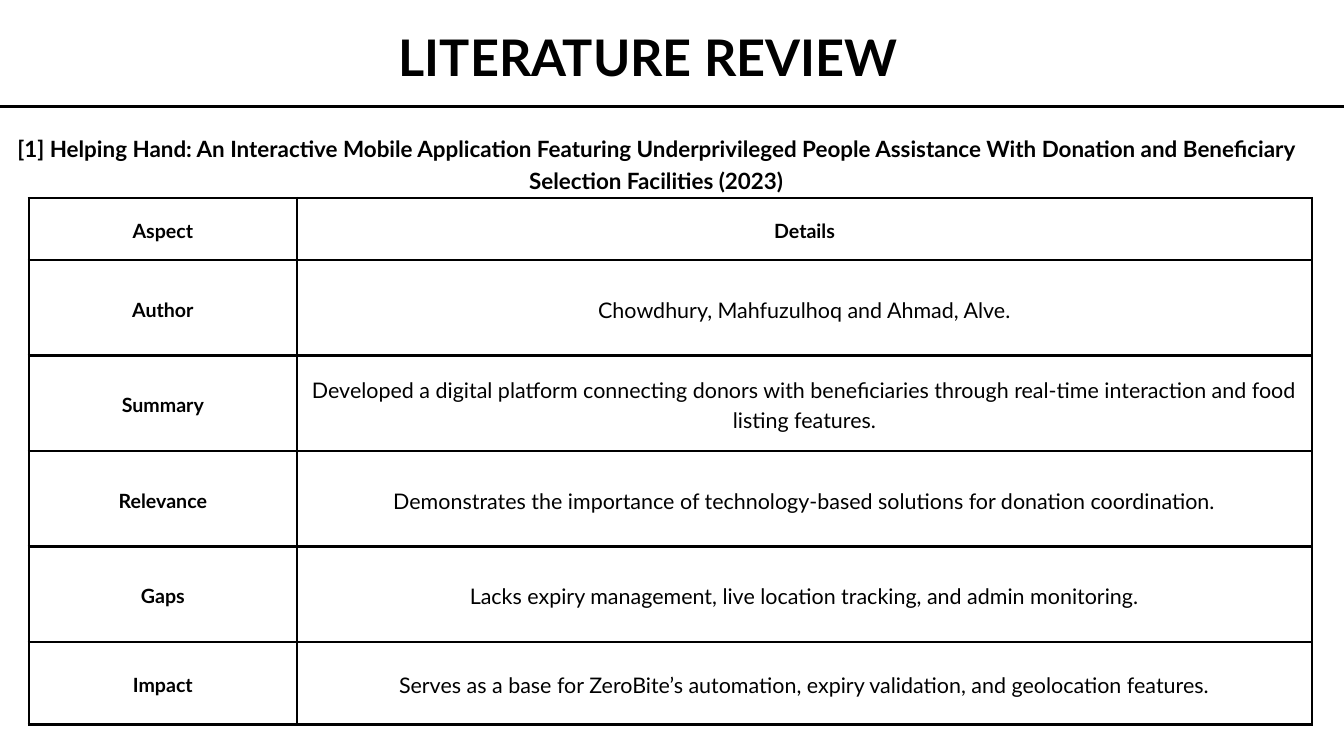
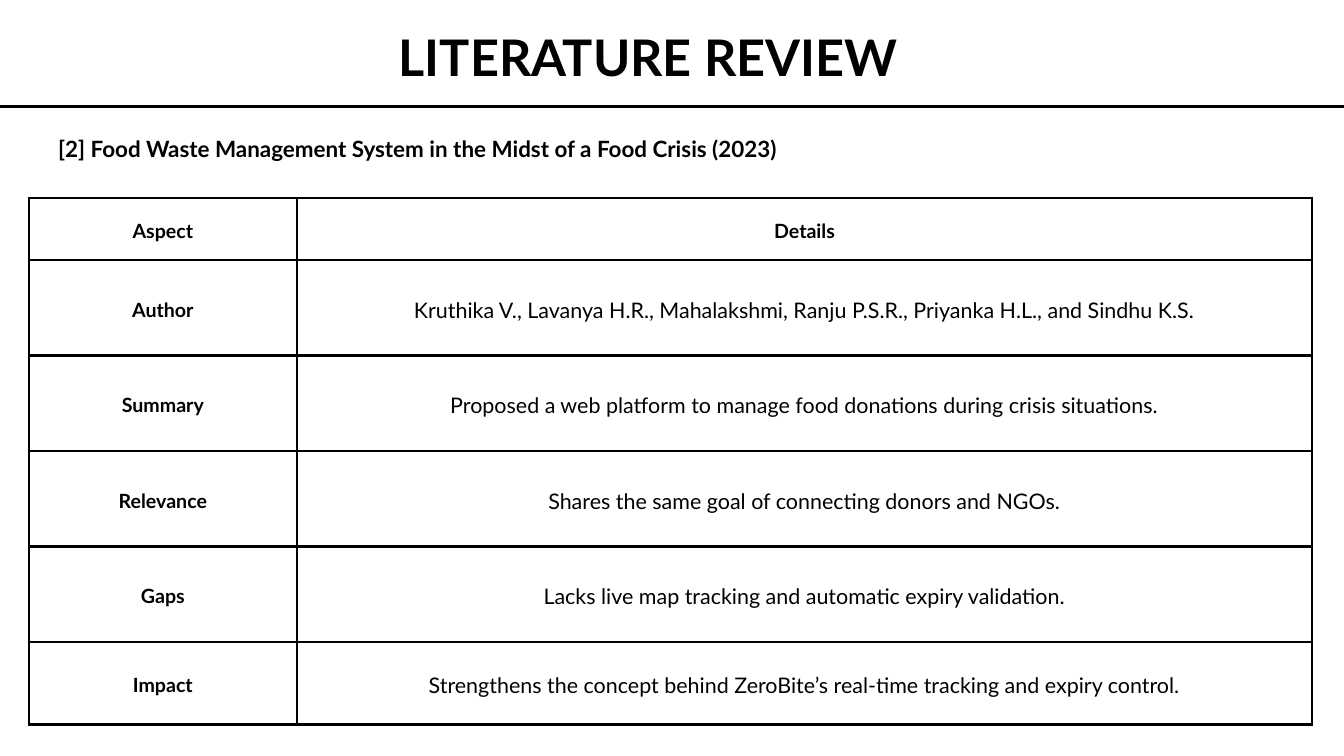
from lxml.etree import SubElement
from pptx import Presentation
from pptx.dml.color import RGBColor
from pptx.enum.shapes import MSO_CONNECTOR
from pptx.enum.text import MSO_ANCHOR, PP_ALIGN
from pptx.oxml import parse_xml
from pptx.oxml.ns import nsdecls, qn
from pptx.util import Cm, Pt

BLACK = RGBColor(0, 0, 0)
FONT = "Lato"
RULE = 3
INSET = Cm(0.53)
WIDTHS = [10.13, 38.38]
HEIGHTS = [2.34] + [3.61] * 4 + [3.12]
ASPECTS = ["Author", "Summary", "Relevance", "Gaps", "Impact"]

PAPERS = [
    {
        "head": "[1] Helping Hand: An Interactive Mobile Application Featuring "
                "Underprivileged People Assistance With Donation and "
                "Beneficiary Selection Facilities (2023)",
        "size": (49.6, 2.51),
        "details": [
            "Chowdhury, Mahfuzulhoq and Ahmad, Alve.",
            "Developed a digital platform connecting donors with beneficiaries "
            "through real-time interaction and food listing features.",
            "Demonstrates the importance of technology-based solutions for "
            "donation coordination.",
            "Lacks expiry management, live location tracking, and admin "
            "monitoring.",
            "Serves as a base for ZeroBite’s automation, expiry validation, "
            "and geolocation features.",
        ],
    },
    {
        "head": "[2] Food Waste Management System in the Midst of a Food "
                "Crisis (2023)",
        "size": (31.55, 1.35),
        "details": [
            "Kruthika V., Lavanya H.R., Mahalakshmi, Ranju P.S.R., "
            "Priyanka H.L., and Sindhu K.S.",
            "Proposed a web platform to manage food donations during crisis "
            "situations.",
            "Shares the same goal of connecting donors and NGOs.",
            "Lacks live map tracking and automatic expiry validation.",
            "Strengthens the concept behind ZeroBite’s real-time tracking and "
            "expiry control.",
        ],
    },
]


def write(frame, text, size, bold=True, inset=0):
    """Fill a text frame with one centred paragraph, leaded at 1.4 times."""
    frame.word_wrap = True
    frame.margin_left = frame.margin_right = inset
    frame.margin_top = frame.margin_bottom = inset
    para = frame.paragraphs[0]
    para.alignment = PP_ALIGN.CENTER
    para.line_spacing = Pt(size * 1.4)
    run = para.add_run()
    run.text = text
    run.font.name = FONT
    run.font.size = Pt(size)
    run.font.bold = bold
    run.font.color.rgb = BLACK


def border(cell):
    """Draw a solid black line on all four sides of a cell."""
    props = cell._tc.get_or_add_tcPr()
    for place, side in enumerate("LRTB"):
        props.insert(place, parse_xml(
            f'<a:ln{side} {nsdecls("a")} w="{Pt(RULE)}"><a:solidFill>'
            f'<a:srgbClr val="{BLACK}"/></a:solidFill></a:ln{side}>'))


deck = Presentation()
deck.slide_width, deck.slide_height = Cm(50.8), Cm(28.58)

for paper in PAPERS:
    slide = deck.slides.add_slide(deck.slide_layouts[6])

    line = slide.shapes.add_connector(
        MSO_CONNECTOR.STRAIGHT, Cm(-1.5), Cm(4.04), Cm(52.3), Cm(4.04))
    line.line.color.rgb = BLACK
    line.line.width = Pt(RULE)
    SubElement(line._element.spPr, qn("a:effectLst"))

    rows = [("Aspect", "Details"), *zip(ASPECTS, paper["details"])]
    table = slide.shapes.add_table(
        len(rows), 2, Cm(1.09), Cm(7.49),
        Cm(sum(WIDTHS)), Cm(sum(HEIGHTS))).table
    table.first_row = table.horz_banding = False
    for col, width in zip(table.columns, WIDTHS):
        col.width = Cm(width)
    for r, (height, texts) in enumerate(zip(HEIGHTS, rows)):
        table.rows[r].height = Cm(height)
        for c, text in enumerate(texts):
            cell = table.cell(r, c)
            label = r == 0 or c == 0
            write(cell.text_frame, text, 21 if label else 23, bold=label)
            cell.margin_left = cell.margin_right = INSET
            cell.margin_top = cell.margin_bottom = INSET
            cell.vertical_anchor = MSO_ANCHOR.MIDDLE
            cell.fill.background()
            border(cell)

    title = slide.shapes.add_textbox(Cm(14.6), Cm(0.61), Cm(19.8), Cm(2.97))
    write(title.text_frame, "LITERATURE REVIEW", 54)

    wide, high = paper["size"]
    head = slide.shapes.add_textbox(Cm(0), Cm(4.95), Cm(wide), Cm(high))
    write(head.text_frame, paper["head"], 24)

deck.save("out.pptx")
